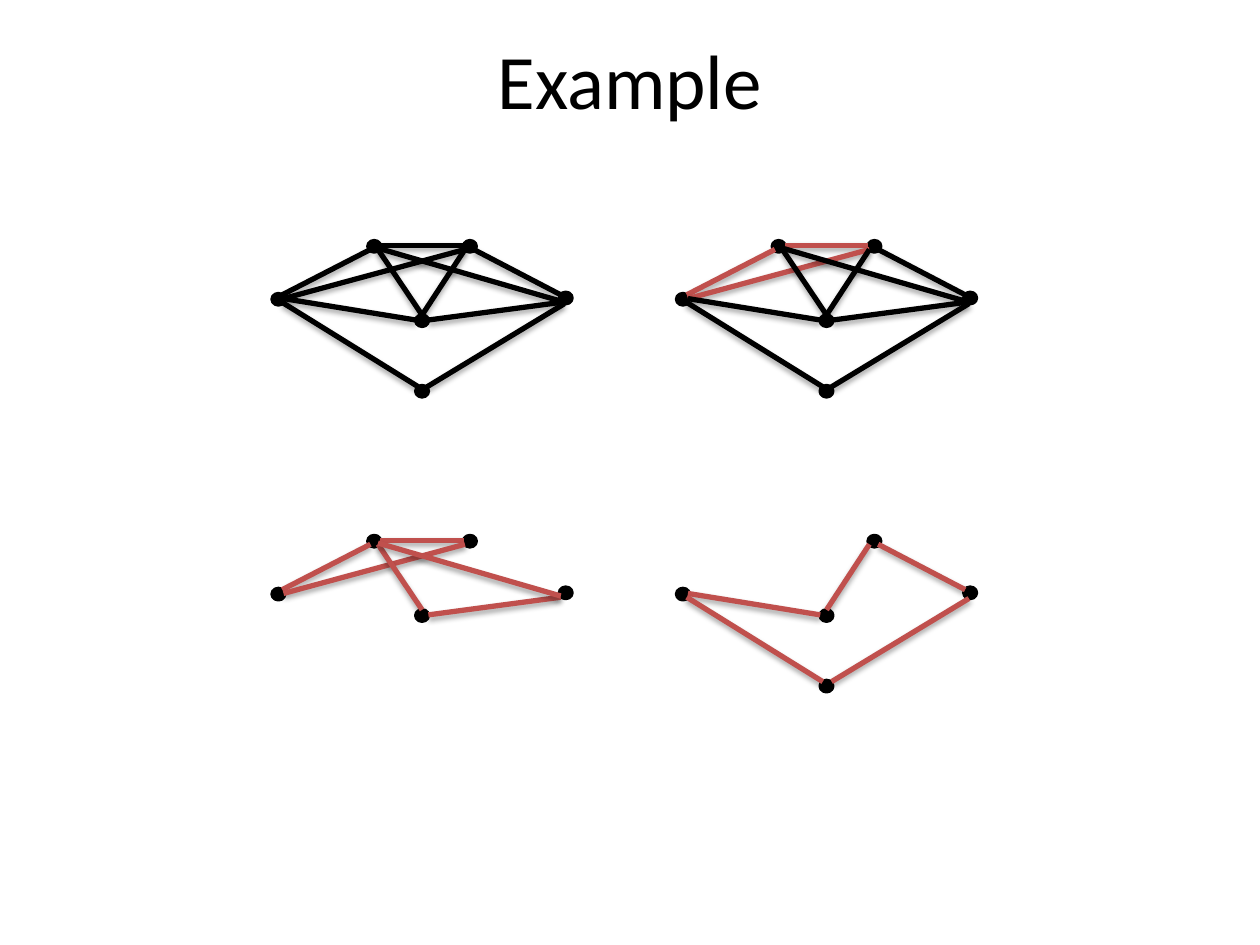
from dataclasses import dataclass

from lxml import etree
from pptx import Presentation
from pptx.dml.color import RGBColor
from pptx.enum.shapes import MSO_CONNECTOR as Connector, MSO_SHAPE as Shape
from pptx.enum.text import MSO_ANCHOR as Anchor, PP_ALIGN as Align
from pptx.oxml import parse_xml
from pptx.util import Inches, Pt

BLACK, RED = "000000", "C0504D"
DOT_W, DOT_H = 0.1, 0.09
LEFT, TOP = 2.16, 1.91
COLUMN_STEP, ROW_STEP = 3.21, 2.34
SHADOW = (
    '<a:effectLst xmlns:a="http://schemas.openxmlformats.org/drawingml/2006/main">'
    '<a:outerShdw blurRad="40000" dist="23000" dir="5400000" rotWithShape="0">'
    '<a:srgbClr val="000000"><a:alpha val="35000"/></a:srgbClr>'
    "</a:outerShdw></a:effectLst>"
)

# Top left corner of each vertex dot, from the corner of its graph
VERTICES = {
    "upper left": (0.76, 0),
    "upper right": (1.52, 0),
    "right": (2.28, 0.41),
    "left": (0, 0.42),
    "middle": (1.14, 0.59),
    "bottom": (1.14, 1.15),
}


@dataclass(frozen=True)
class Edge:
    """Two vertices, and the points on their rims that the line joins."""
    ends: tuple[str, str]
    start: tuple[float, float]
    stop: tuple[float, float]


@dataclass(frozen=True)
class Graph:
    column: int
    row: int
    black: tuple[Edge, ...] = ()
    red: tuple[Edge, ...] = ()


left_fall = Edge(("upper left", "middle"), (0.84, 0.07), (1.19, 0.59))
right_fall = Edge(("upper right", "middle"), (1.53, 0.07), (1.19, 0.59))
ridge = Edge(("upper left", "upper right"), (0.86, 0.04), (1.52, 0.04))
left_roof = Edge(("upper left", "left"), (0.78, 0.07), (0.08, 0.43))
right_roof = Edge(("upper right", "right"), (1.6, 0.07), (2.29, 0.43))
left_floor = Edge(("middle", "left"), (1.14, 0.63), (0.09, 0.46))
right_floor = Edge(("right", "middle"), (2.29, 0.49), (1.24, 0.63))
left_keel = Edge(("bottom", "left"), (1.16, 1.16), (0.08, 0.49))
right_keel = Edge(("right", "bottom"), (2.32, 0.5), (1.23, 1.16))
left_cross = Edge(("upper right", "left"), (1.53, 0.07), (0.09, 0.46))
right_cross = Edge(("right", "upper left"), (2.29, 0.48), (0.84, 0.06))

triangle = (ridge, left_roof, left_cross)
other_edges = (left_fall, right_fall, right_roof, left_floor, right_floor,
               left_keel, right_keel, right_cross)

GRAPHS = (
    Graph(0, 0, black=other_edges + triangle),
    Graph(1, 0, black=other_edges, red=triangle),
    Graph(0, 1, red=triangle + (left_fall, right_floor, right_cross)),
    Graph(1, 1, red=(right_fall, right_roof, left_floor, left_keel, right_keel)),
)


def color(hex_code: str) -> RGBColor:
    return RGBColor.from_string(hex_code)


def draw_title(slide, wording: str) -> None:
    title = slide.shapes.add_textbox(0, 0, Inches(10), Inches(1.25))
    frame = title.text_frame
    frame.word_wrap = True
    frame.vertical_anchor = Anchor.MIDDLE
    frame.text = wording
    paragraph = frame.paragraphs[0]
    paragraph.alignment = Align.CENTER
    font = paragraph.runs[0].font
    font.name, font.size = "Calibri", Pt(44)
    font.color.rgb = color(BLACK)


def draw_vertex(slide, x: float, y: float) -> None:
    dot = slide.shapes.add_shape(
        Shape.OVAL, Inches(x), Inches(y), Inches(DOT_W), Inches(DOT_H))
    dot.shadow.inherit = False
    dot.fill.solid()
    dot.fill.fore_color.rgb = color(BLACK)
    dot.line.color.rgb = color(BLACK)
    dot.line.width = Pt(2)


def draw_edge(slide, edge: Edge, x: float, y: float, hex_code: str) -> None:
    (x1, y1), (x2, y2) = edge.start, edge.stop
    line = slide.shapes.add_connector(
        Connector.STRAIGHT,
        Inches(x + x1), Inches(y + y1), Inches(x + x2), Inches(y + y2))
    line.line.color.rgb = color(hex_code)
    line.line.width = Pt(3)
    line._element.spPr.append(parse_xml(SHADOW))


def draw_graph(slide, graph: Graph) -> None:
    """Draw the vertices that have edges, then the edges over them."""
    x = LEFT + graph.column * COLUMN_STEP
    y = TOP + graph.row * ROW_STEP
    used = {name for edge in graph.black + graph.red for name in edge.ends}
    for name, (dx, dy) in VERTICES.items():
        if name in used:
            draw_vertex(slide, x + dx, y + dy)
    for edges, hex_code in ((graph.red, RED), (graph.black, BLACK)):
        for edge in edges:
            draw_edge(slide, edge, x, y, hex_code)


def main() -> None:
    deck = Presentation()
    deck.slide_width, deck.slide_height = Inches(10), Inches(7.5)
    slide = deck.slides.add_slide(deck.slide_layouts[6])
    draw_title(slide, "Example")
    for graph in GRAPHS:
        draw_graph(slide, graph)
    deck.save("out.pptx")


if __name__ == "__main__":
    main()
